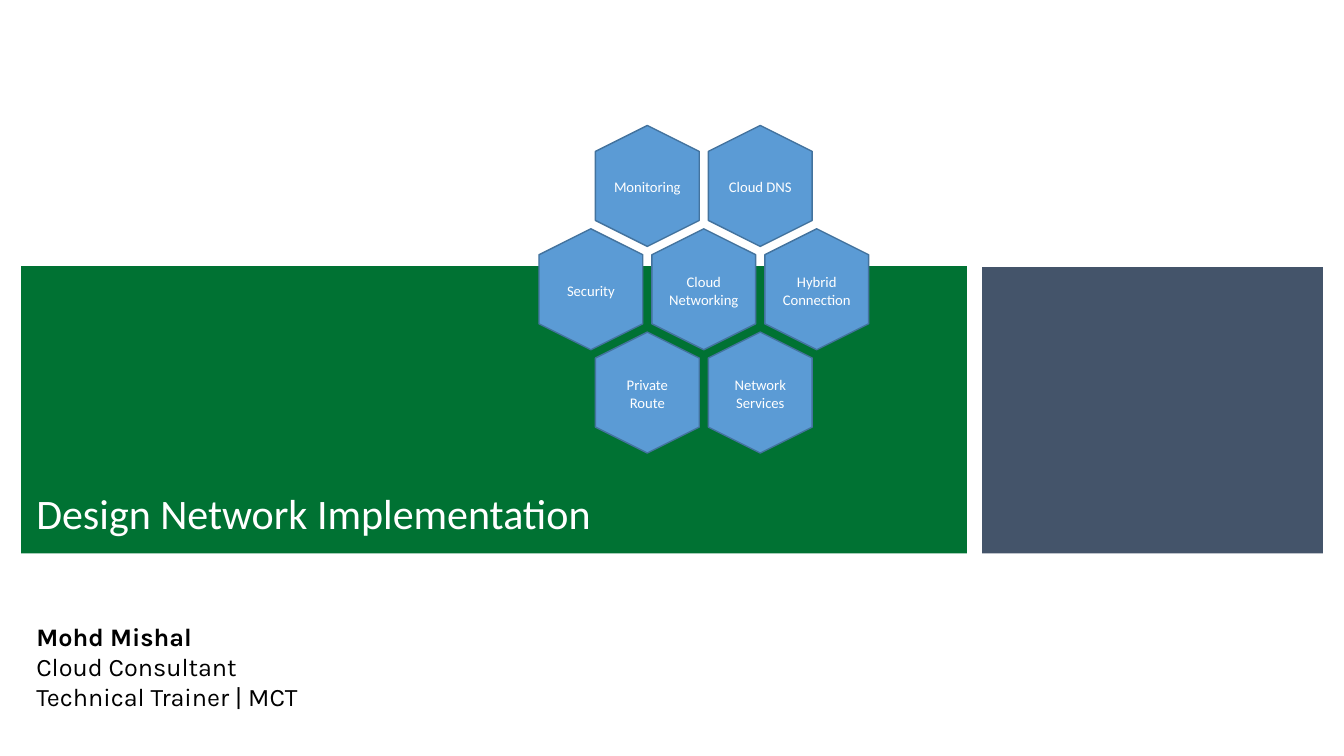
from pptx import Presentation
from pptx.dml.color import RGBColor
from pptx.enum.shapes import MSO_SHAPE
from pptx.enum.text import MSO_ANCHOR, PP_ALIGN
from pptx.util import Inches, Pt

COLORS = {
    "green": "007233",
    "slate": "44546A",
    "blue": "5B9BD5",
    "outline": "43739E",
    "white": "FFFFFF",
    "black": "000000",
}
HEX_W, HEX_H = 1.2, 1.03
HEX_TOP, ROW_PITCH, COL_PITCH = 1.33, 1.025, 1.12
HEX_ROWS = [
    (5.82, ["Monitoring", "Cloud DNS"]),
    (5.26, ["Security", "Cloud\nNetworking", "Hybrid Connection"]),
    (5.82, ["Private Route", "Network Services"]),
]


def rgb(name):
    """Return the named colour."""
    return RGBColor.from_string(COLORS[name])


def add_block(slide, shape_type, box, fill, line=None):
    """Add a filled shape without shadow."""
    sp = slide.shapes.add_shape(shape_type, *map(Inches, box))
    sp.shadow.inherit = False
    sp.fill.solid()
    sp.fill.fore_color.rgb = rgb(fill)
    if line:
        sp.line.color.rgb = rgb(line)
        sp.line.width = Pt(1)
    else:
        sp.line.fill.background()
    return sp


def set_text(sp, text, size, font, color, anchor, align, insets):
    """Write text into a shape with one style for all runs."""
    tf = sp.text_frame
    tf.word_wrap = True
    tf.vertical_anchor = anchor
    tf.margin_left, tf.margin_top, tf.margin_right, tf.margin_bottom = map(Inches, insets)
    tf.text = text
    for p in tf.paragraphs:
        p.alignment = align
        for r in p.runs:
            r.font.size = Pt(size)
            r.font.name = font
            r.font.color.rgb = rgb(color)
    return tf


def add_hexagon(slide, left, top, label):
    """Add an upright hexagon with a level label."""
    sp = add_block(slide, MSO_SHAPE.HEXAGON, (left, top, HEX_W, HEX_H), "blue", "outline")
    sp.rotation = 90
    tf = set_text(sp, label, 10.5, "Calibri", "white", MSO_ANCHOR.MIDDLE,
                  PP_ALIGN.CENTER, (0.07, 0, 0.1, 0))
    tf._txBody.bodyPr.set("vert", "vert270")


def add_title(slide):
    """Add the green title band."""
    sp = add_block(slide, MSO_SHAPE.RECTANGLE, (0.21, 2.64, 9.38, 2.85), "green")
    tf = set_text(sp, "Design Network Implementation", 30, "Calibri", "white",
                  MSO_ANCHOR.BOTTOM, PP_ALIGN.LEFT, (0.15, 0.15, 0.1, 0.15))
    tf.paragraphs[0].line_spacing = 0.9


def add_presenter(slide):
    """Add the presenter's name and roles."""
    sp = slide.shapes.add_textbox(*map(Inches, (0.21, 5.61, 9.38, 1.6)))
    tf = set_text(sp, "Mohd Mishal\nCloud Consultant\nTechnical Trainer | MCT", 18, "Karla",
                  "black", MSO_ANCHOR.BOTTOM, PP_ALIGN.LEFT, (0.15, 0.15, 0.15, 0.15))
    tf.paragraphs[0].runs[0].font.bold = True


def main():
    """Build the title slide."""
    prs = Presentation()
    prs.slide_width, prs.slide_height = Inches(13.33), Inches(7.5)
    slide = prs.slides.add_slide(prs.slide_layouts[6])
    add_block(slide, MSO_SHAPE.RECTANGLE, (9.74, 2.65, 3.38, 2.84), "slate")
    add_presenter(slide)
    add_title(slide)
    for row, (left, labels) in enumerate(HEX_ROWS):
        for col, label in enumerate(labels):
            add_hexagon(slide, left + col * COL_PITCH, HEX_TOP + row * ROW_PITCH, label)
    prs.save("out.pptx")


if __name__ == "__main__":
    main()
